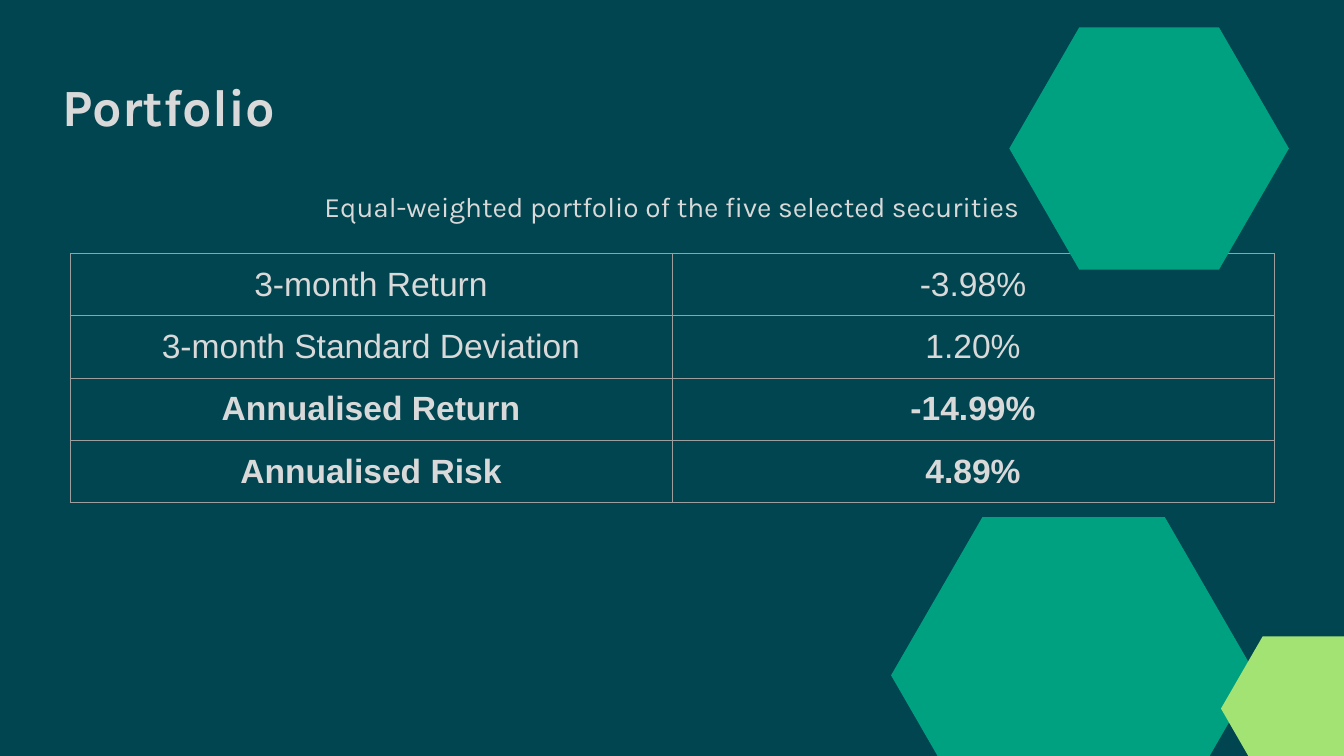
import math

from lxml import etree
from pptx import Presentation
from pptx.dml.color import RGBColor
from pptx.enum import text
from pptx.oxml import ns
from pptx.util import Pt

SLIDE_WIDTH, SLIDE_HEIGHT = 1440, 810
COLORS = {
    "background": "004550",
    "text": "D9D9D9",
    "border": "9E9E9E",
    "green": "00A181",
    "lime": "A3E373",
}
TITLE_FORMAT = {"name": "Karla", "size": Pt(56), "bold": True}
SUBTITLE_FORMAT = {"name": "Karla", "size": Pt(30), "bold": False}
CELL_FORMAT = {"name": "Arial", "size": Pt(36)}

# Label, value, bold
RESULTS = [
    ("3-month Return", "-3.98%", False),
    ("3-month Standard Deviation", "1.20%", False),
    ("Annualised Return", "-14.99%", True),
    ("Annualised Risk", "4.89%", True),
]
COLUMN_WIDTH, ROW_HEIGHT = 645, 66.8


def color(name):
    return RGBColor.from_string(COLORS[name])


def write(paragraph, words, font_format, alignment):
    paragraph.alignment = alignment
    run = paragraph.add_run()
    run.text = words
    run.font.color.rgb = color("text")
    for name, value in font_format.items():
        setattr(run.font, name, value)


def add_heading(slide):
    box = slide.shapes.add_textbox(Pt(67), Pt(80), Pt(1306), Pt(157))
    frame = box.text_frame
    frame.word_wrap = True
    for side in ("left", "top", "right", "bottom"):
        setattr(frame, f"margin_{side}", 0)
    write(frame.paragraphs[0], "Portfolio", TITLE_FORMAT, text.PP_ALIGN.LEFT)
    subtitle = frame.add_paragraph()
    subtitle.space_before = Pt(56)
    write(subtitle, "Equal-weighted portfolio of the five selected securities",
          SUBTITLE_FORMAT, text.PP_ALIGN.CENTER)


def add_borders(cell):
    properties = cell._tc.get_or_add_tcPr()
    for side in ("lnL", "lnR", "lnT", "lnB"):
        line = etree.SubElement(properties, ns.qn(f"a:{side}"), w=str(Pt(0.75)))
        fill = etree.SubElement(line, ns.qn("a:solidFill"))
        etree.SubElement(fill, ns.qn("a:srgbClr"), val=COLORS["border"])


def add_results_table(slide):
    table = slide.shapes.add_table(
        len(RESULTS), 2, Pt(75), Pt(271.4),
        Pt(2 * COLUMN_WIDTH), Pt(len(RESULTS) * ROW_HEIGHT)).table
    table.first_row = table.horz_banding = False
    for row, (label, value, bold) in enumerate(RESULTS):
        for column, words in enumerate((label, value)):
            cell = table.cell(row, column)
            add_borders(cell)
            cell.fill.background()
            cell.vertical_anchor = text.MSO_ANCHOR.MIDDLE
            for side in ("left", "top", "right", "bottom"):
                setattr(cell, f"margin_{side}", Pt(7.2))
            write(cell.text_frame.paragraphs[0], words,
                  {**CELL_FORMAT, "bold": bold}, text.PP_ALIGN.CENTER)


def add_hexagon(slide, x, y, radius, fill, bottom=math.inf):
    """Regular hexagon about (x, y), cut off flat at bottom."""
    rise = radius * math.sqrt(3) / 2
    drop = min(rise, bottom - y)
    half_base = radius - drop / math.sqrt(3)
    points = [
        (x - radius, y), (x - radius / 2, y - rise), (x + radius / 2, y - rise),
        (x + radius, y), (x + half_base, y + drop), (x - half_base, y + drop),
    ]
    start, *corners = [(Pt(left), Pt(top)) for left, top in points]
    builder = slide.shapes.build_freeform(*start)
    builder.add_line_segments(corners, close=True)
    shape = builder.convert_to_shape()
    shape.shadow.inherit = False
    shape.fill.solid()
    shape.fill.fore_color.rgb = color(fill)
    shape.line.fill.background()


def main():
    presentation = Presentation()
    presentation.slide_width = Pt(SLIDE_WIDTH)
    presentation.slide_height = Pt(SLIDE_HEIGHT)
    slide = presentation.slides.add_slide(presentation.slide_layouts[6])
    slide.background.fill.solid()
    slide.background.fill.fore_color.rgb = color("background")

    # Content
    add_heading(slide)
    add_results_table(slide)

    # Decoration
    add_hexagon(slide, 1150.3, 723.6, 195.6, "green", bottom=SLIDE_HEIGHT)
    add_hexagon(slide, 1397.5, 759.2, 89.3, "lime")
    add_hexagon(slide, 1231.2, 159.1, 149.8, "green")

    presentation.save("out.pptx")


if __name__ == "__main__":
    main()
